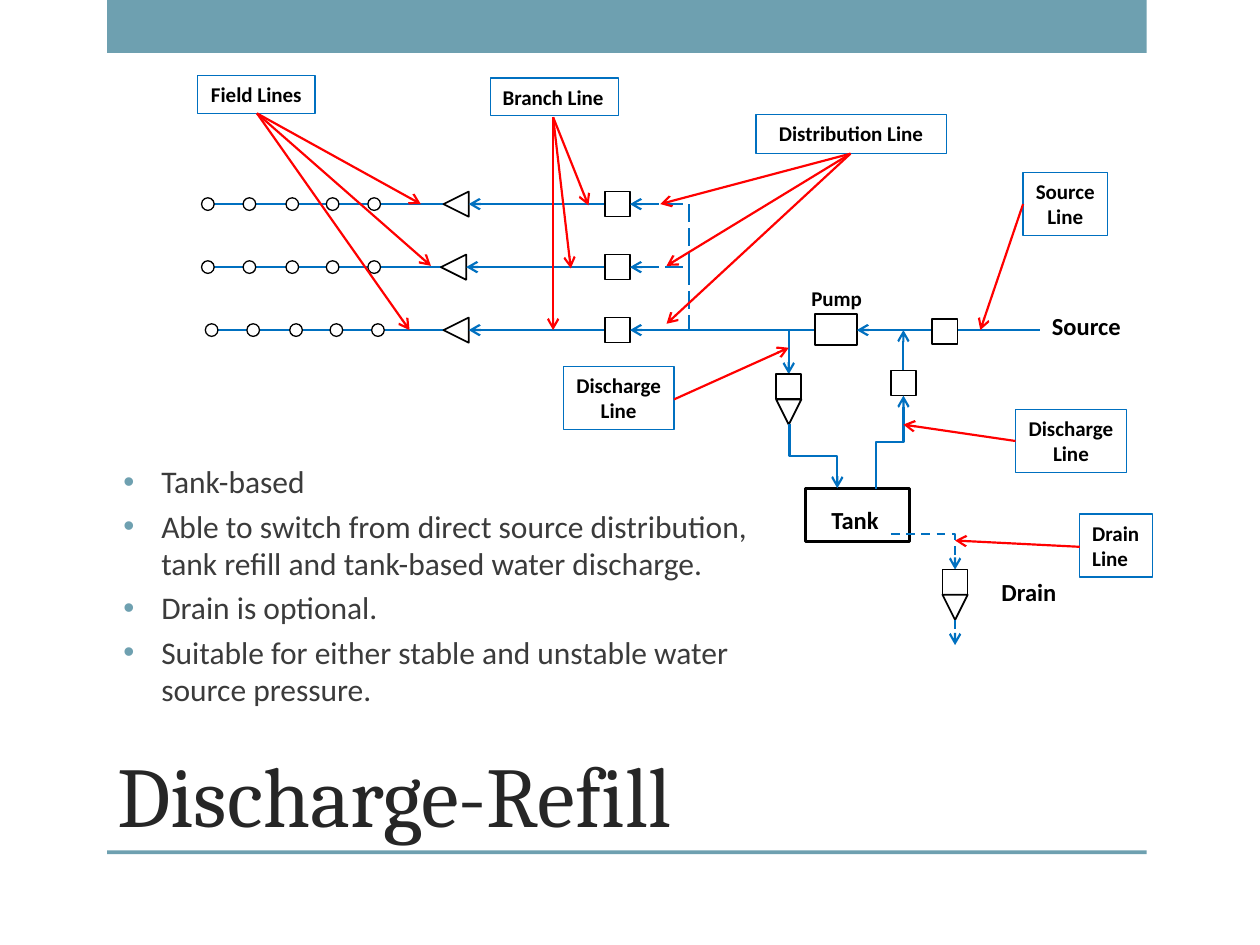
from pptx import Presentation
from pptx.dml.color import RGBColor
from pptx.enum.dml import MSO_LINE
from pptx.enum.shapes import MSO_CONNECTOR, MSO_SHAPE
from pptx.enum.text import MSO_ANCHOR, MSO_AUTO_SIZE, PP_ALIGN
from pptx.oxml.ns import qn
from pptx.util import Inches, Pt
from lxml import etree

BLACK = RGBColor(0, 0, 0)
WHITE = RGBColor(255, 255, 255)
BLUE = RGBColor(0, 0x70, 0xC0)
RED = RGBColor(255, 0, 0)
TEAL = RGBColor(0x6E, 0xA0, 0xB0)
DARK = RGBColor(0x26, 0x26, 0x26)
GRAY = RGBColor(0x3B, 0x3B, 0x3B)
RECT, OVAL = MSO_SHAPE.RECTANGLE, MSO_SHAPE.OVAL
TRI = MSO_SHAPE.ISOSCELES_TRIANGLE
LINE, ELBOW = MSO_CONNECTOR.STRAIGHT, MSO_CONNECTOR.ELBOW
DASH, LONG = MSO_LINE.DASH, MSO_LINE.LONG_DASH
LEFT, MID = PP_ALIGN.LEFT, PP_ALIGN.CENTER
TOP, BASE = MSO_ANCHOR.TOP, MSO_ANCHOR.BOTTOM
FIXED = MSO_AUTO_SIZE.NONE
UNIT = 0.2


def style(frame, size, color, font="Calibri", bold=False, align=LEFT):
    for para in frame.paragraphs:
        para.alignment = align
        for run in para.runs:
            run.font.size = Pt(size)
            run.font.name = font
            run.font.bold = bold
            run.font.color.rgb = color


def part(slide, kind, x, y, w=UNIT, h=UNIT, width=1.0, turn=0,
         fill=WHITE, edge=BLACK):
    shape = slide.shapes.add_shape(kind, Inches(x), Inches(y), Inches(w), Inches(h))
    shape.shadow.inherit = False
    shape.rotation = turn
    shape.fill.solid()
    shape.fill.fore_color.rgb = fill
    if width:
        shape.line.color.rgb = edge
        shape.line.width = Pt(width)
    else:
        shape.line.fill.background()
    return shape


def link(slide, start, end, color=BLUE, tip="tail", dash=None, kind=LINE):
    wire = slide.shapes.add_connector(
        kind, *(Inches(value) for value in (*start, *end)))
    wire.line.color.rgb = color
    wire.line.width = Pt(1.25)
    if dash:
        wire.line.dash_style = dash
    if tip:
        etree.SubElement(wire.line._ln, qn(f"a:{tip}End"), type="arrow")
    etree.SubElement(wire._element.spPr, qn("a:effectLst"))
    return wire


def bend(slide, x, y, w, h, shape, tip, dash=None, **turn):
    wire = link(slide, (x, y), (x + w, y + h), BLUE, tip, dash, ELBOW)
    props = wire._element.spPr
    props.find(qn("a:prstGeom")).set("prst", shape)
    for name, value in turn.items():
        props.find(qn("a:xfrm")).set(name, value)


def label(slide, x, y, w, h, text, size=14, align=LEFT, wrap=False):
    box = slide.shapes.add_textbox(Inches(x), Inches(y), Inches(w), Inches(h))
    frame = box.text_frame
    frame.word_wrap = wrap
    frame.text = text
    style(frame, size, BLACK, bold=True, align=align)


def callout(slide, x, y, w, h, text, start, ends, align=MID):
    part(slide, RECT, x, y, w, h, 0.75, edge=BLUE)
    label(slide, x, y, w, h, text, 12, align)
    for end in ends:
        link(slide, start, end, RED)


def valve(slide, x, y):
    part(slide, RECT, x, y)
    part(slide, TRI, x, y + UNIT, turn=180)


def field(slide, x, y, head):
    link(slide, (x, y), (x + 1.92, y), tip=None)
    for gap in (0, 0.33, 0.67, 0.99, 1.32):
        part(slide, OVAL, x + gap, y - 0.05, 0.1, 0.1, 0.75)
    part(slide, TRI, head, y - UNIT / 2, turn=270)
    link(slide, (4.8, y), (head + UNIT, y))
    part(slide, RECT, 4.8, y - UNIT / 2)


def fields(slide, x, y):
    step = 0.5
    for row, (shift, head) in enumerate(((0, 3.52), (0, 3.5), (0.03, 3.52))):
        level = y + row * step
        field(slide, x + shift, level, head)
        if row < 2:
            bend(slide, 5, level, 0.47, 0.51, "bentConnector2", "head", LONG)
    link(slide, (6.47, y + 2 * step), (5, y + 2 * step))


def source(slide, x, y):
    part(slide, RECT, x, y - 0.13, 0.33, 0.25)
    label(slide, x - 0.13, y - 0.4, 0.61, 0.3, "Pump", 12)
    link(slide, (x + 1.78, y), (x + 0.33, y))
    part(slide, RECT, x + 0.93, y - 0.09)
    label(slide, x + 1.78, y - 0.2, 0.75, 0.34, "Source")


def tank(slide, x, y):
    part(slide, RECT, x, y, 0.83, 0.42, 1.75)
    label(slide, x, y + 0.08, 0.79, 0.34, "Tank", align=MID, wrap=True)
    link(slide, (x - 0.13, y - 1.26), (x - 0.13, y - 0.91))
    valve(slide, x - 0.23, y - 0.91)
    bend(slide, x - 0.19, y - 0.45, 0.51, 0.38, "bentConnector3", "tail",
         rot="16200000", flipH="1")
    link(slide, (x + 0.78, y - 0.91), (x + 0.78, y - 1.26))
    part(slide, RECT, x + 0.68, y - 0.94)
    bend(slide, x + 0.3, y - 0.48, 0.74, 0.22, "bentConnector3", "head",
         rot="5400000")


def drain(slide, x, y):
    bend(slide, x - 0.41, y - 0.28, 0.51, 0.28, "bentConnector2", "tail", DASH)
    valve(slide, x, y)
    link(slide, (x + 0.1, y + 0.4), (x + 0.1, y + 0.6), dash=DASH)
    label(slide, x + 0.37, y + 0.01, 0.64, 0.34, "Drain")


def notes(slide):
    for box in (
        (1.57, 0.6, 0.93, 0.3, "Field Lines", (2.04, 0.9),
         [(3.25, 2.62), (3.42, 2.11), (3.34, 1.62)]),
        (3.89, 0.62, 1.02, 0.3, "Branch Line", (4.39, 0.93),
         [(4.67, 1.63), (4.53, 2.13), (4.39, 2.62)], LEFT),
        (6, 0.91, 1.51, 0.31, "Distribution Line", (6.75, 1.22),
         [(5.29, 2.57), (5.29, 2.11), (5.24, 1.62)]),
        (8.57, 4.08, 0.58, 0.5, "Drain\nLine", (8.57, 4.34), [(7.58, 4.29)], LEFT),
        (8.12, 1.37, 0.67, 0.5, "Source\nLine", (8.12, 1.62), [(7.78, 2.62)]),
        (8.06, 3.25, 0.88, 0.5, "Discharge\nLine", (8.06, 3.5), [(7.17, 3.37)]),
        (4.47, 2.91, 0.88, 0.5, "Discharge\nLine", (5.35, 3.17), [(6.26, 2.76)]),
    ):
        callout(slide, *box)


def place(holder, x, y, w, h, text, anchor):
    holder.left, holder.top = Inches(x), Inches(y)
    holder.width, holder.height = Inches(w), Inches(h)
    frame = holder.text_frame
    frame.text = text
    frame.auto_size = FIXED
    frame.vertical_anchor = anchor
    return frame


def title(slide, x, y, w, h):
    frame = place(slide.shapes.title, x, y, w, h, "Discharge-Refill", BASE)
    style(frame, 48.6, DARK, "Cambria")


def points(slide, x, y, w, h):
    text = "\n".join((
        "Tank-based",
        "Able to switch from direct source distribution, tank refill "
        "and tank-based water discharge.",
        "Drain is optional.",
        "Suitable for either stable and unstable water source pressure.",
    ))
    frame = place(slide.placeholders[1], x, y, w, h, text, TOP)
    style(frame, 18, GRAY)
    for para in frame.paragraphs:
        props = para._p.get_or_add_pPr()
        props.set("marL", str(Inches(0.3)))
        props.set("indent", str(Inches(-0.3)))
        tint = etree.SubElement(props, qn("a:buClr"))
        etree.SubElement(tint, qn("a:srgbClr"), val=str(TEAL))
        etree.SubElement(props, qn("a:buFont"), typeface="Arial")
        etree.SubElement(props, qn("a:buChar"), char="•")


def main():
    deck = Presentation()
    deck.slide_width, deck.slide_height = Inches(10), Inches(7.5)
    slide = deck.slides.add_slide(deck.slide_layouts[1])
    for y, h in ((0, 0.42), (6.75, 0.03)):
        part(slide, RECT, 0.85, y, 8.25, h, 0, fill=TEAL)
    title(slide, 0.83, 5.92, 7.42, 0.83)
    points(slide, 0.88, 3.62, 5.16, 2.23)
    fields(slide, 1.6, 1.62)
    source(slide, 6.47, 2.62)
    tank(slide, 6.39, 3.88)
    drain(slide, 7.48, 4.52)
    notes(slide)
    deck.save("out.pptx")


if __name__ == "__main__":
    main()
